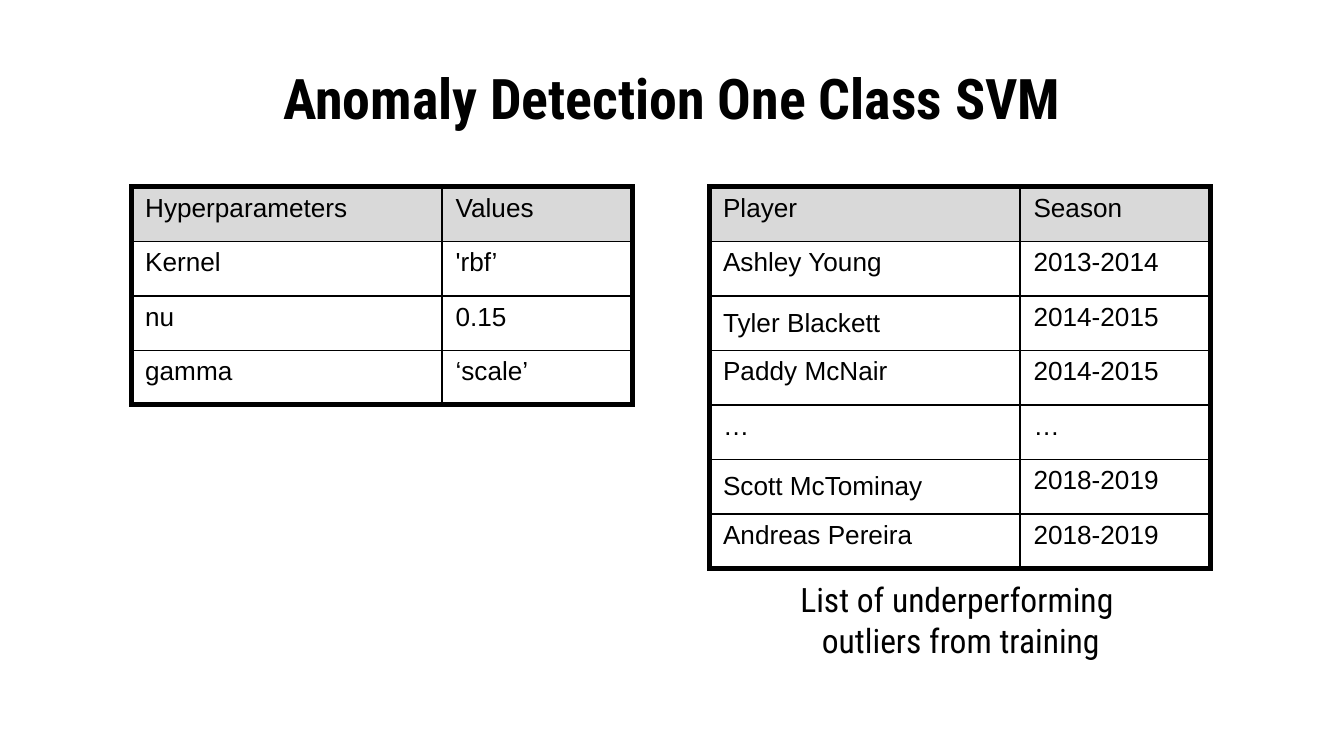
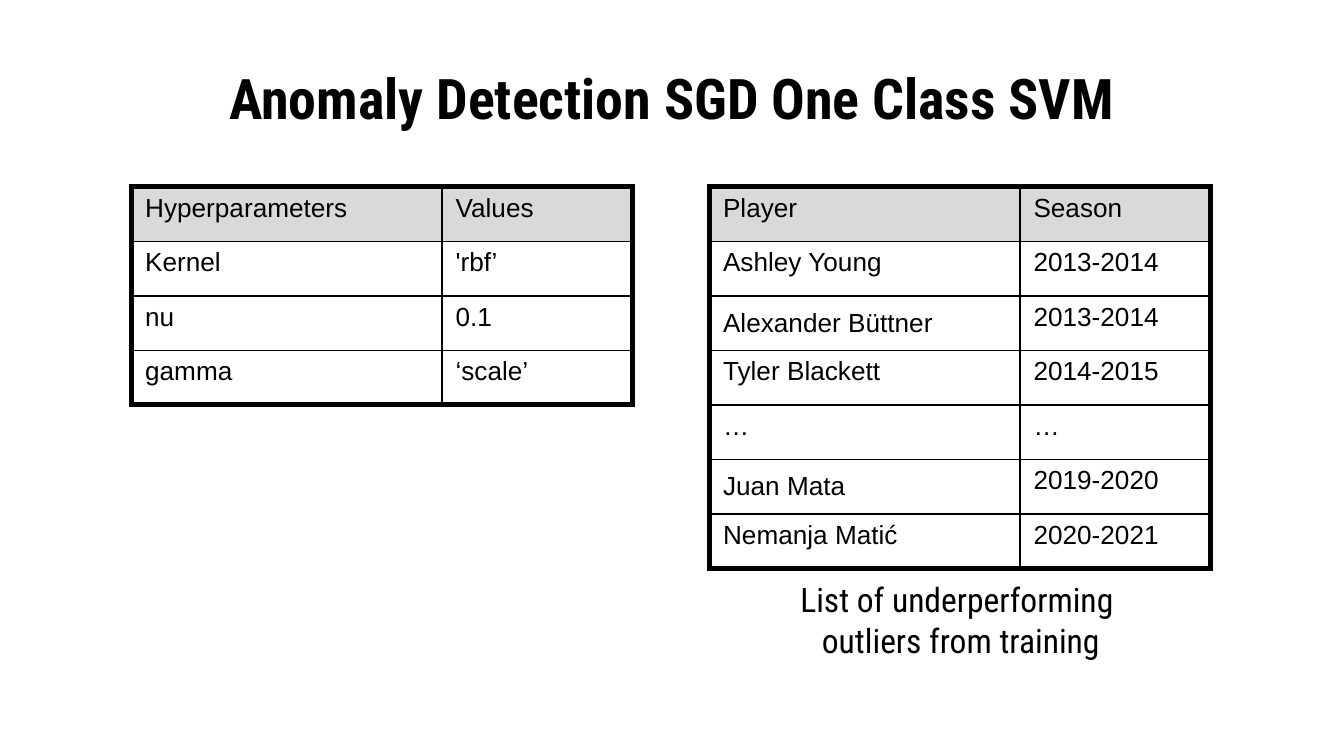
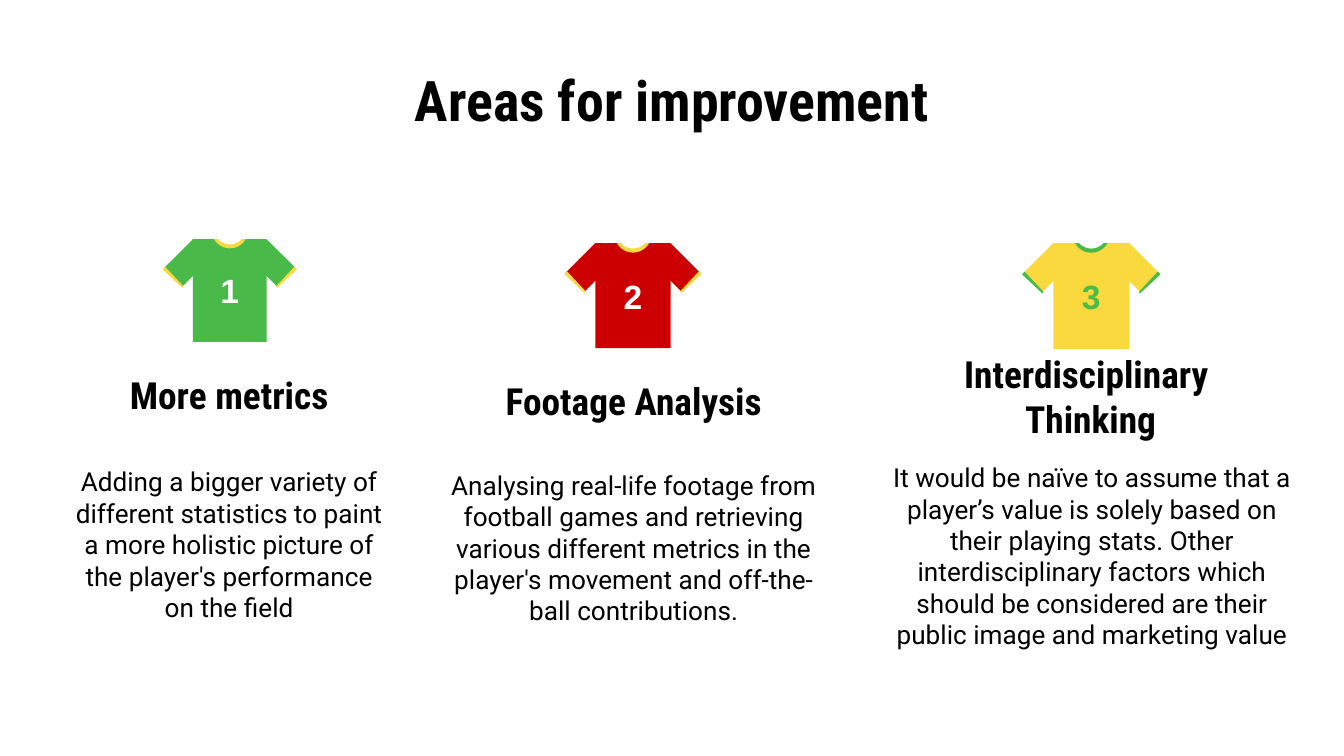
import math
from lxml import etree
from pptx import Presentation
from pptx import util as u
from pptx.dml.color import RGBColor
from pptx.enum import text
from pptx.oxml.ns import qn

# Shared style
BLACK, WHITE, GREY = "000000", "FFFFFF", "D9D9D9"
GREEN, RED, GOLD = "49BA49", "CC0000", "F9D93D"
HEAD, BODY, PLAIN = "Roboto Condensed", "Roboto", "Arial"
MID, TOP = text.MSO_ANCHOR.MIDDLE, text.MSO_ANCHOR.TOP
COLS, ROW = (2.31, 1.42), 2.84 / 7

# Content: title, value of nu, outliers
MODELS = [
    ("Anomaly Detection One Class SVM", "0.15", [
        ("Ashley Young", "2013-2014"), ("Tyler Blackett", "2014-2015"),
        ("Paddy McNair", "2014-2015"), ("…", "…"),
        ("Scott McTominay", "2018-2019"), ("Andreas Pereira", "2018-2019")]),
    ("Anomaly Detection SGD One Class SVM", "0.1", [
        ("Ashley Young", "2013-2014"), ("Alexander Büttner", "2013-2014"),
        ("Tyler Blackett", "2014-2015"), ("…", "…"),
        ("Juan Mata", "2019-2020"), ("Nemanja Matić", "2020-2021")]),
]
CAPTION = ["List of underperforming ", "outliers from training"]

# Shirt: centre, top, scale, cloth, trim, number colour;
# then heading and body with their boxes, and body top and bottom insets
AREAS = [
    dict(shirt=(1.71, 1.78, 0.98, GREEN, GOLD, WHITE),
         head=["More metrics"], hbox=(0.33, 2.69, 2.75, 0.49),
         body="Adding a bigger variety of different statistics to paint a more "
              "holistic picture of the player's performance on the field",
         bbox=(0.44, 3.53, 2.53, 1.31), pad=(0.1, 0.37)),
    dict(shirt=(4.71, 1.81, 1, RED, GOLD, WHITE),
         head=["Footage Analysis"], hbox=(3.19, 2.73, 3.05, 0.5),
         body="Analysing real-life footage from football games and retrieving "
              "various different metrics in the player's movement and "
              "off-the-ball contributions.",
         bbox=(3.19, 3.76, 3.05, 0.89), pad=(0.1, 0.36)),
    dict(shirt=(8.12, 1.81, 1.01, GOLD, GREEN, "48BB49"),
         head=["Interdisciplinary ", "Thinking"], hbox=(6.59, 2.7, 3.05, 0.49),
         body="It would be naïve to assume that a player’s value is solely based "
              "on their playing stats. Other interdisciplinary factors which "
              "should be considered are their public image and marketing value",
         bbox=(6.45, 3.07, 3.35, 1.86), pad=(0.37, 0.1)),
]


def rgb(code):
    return RGBColor.from_string(code)


def style(par, size, face, color=BLACK, bold=False):
    font = par.font
    font.size, font.name, font.bold = u.Pt(size), face, bold
    font.color.rgb = rgb(color)


def write(shape, lines, size, face, color=BLACK, bold=False,
          anchor=MID, pad=(0.1, 0.1), space=None):
    frame = shape.text_frame
    frame.word_wrap = True
    frame.vertical_anchor = anchor
    frame.margin_left = frame.margin_right = u.Inches(0.1)
    frame.margin_top, frame.margin_bottom = map(u.Inches, pad)
    for i, line in enumerate(lines):
        par = frame.add_paragraph() if i else frame.paragraphs[0]
        par.text = line
        par.alignment = text.PP_ALIGN.CENTER
        if space:
            par.line_spacing = space
        style(par, size, face, color, bold)


def label(shapes, box, lines, size, face, **more):
    write(shapes.add_textbox(*map(u.Inches, box)), lines, size, face, **more)


def title(slide, words, top, space=None):
    label(slide.shapes, (0.78, top, 8.44, 0.45), [words], 30, HEAD,
          bold=True, anchor=TOP, space=space)


# Tables: thick outside, thin inside
def edges(cell, thick):
    props = cell._tc.get_or_add_tcPr()
    for i, side in enumerate("LRTB"):
        width = u.Pt(3 if side in thick else 1)
        line = etree.Element(qn("a:ln" + side), w=str(width))
        fill = etree.SubElement(line, qn("a:solidFill"))
        etree.SubElement(fill, qn("a:srgbClr"), val=BLACK)
        props.insert(i, line)


def grid(slide, left, rows, middle=()):
    last = len(rows) - 1
    table = slide.shapes.add_table(
        len(rows), len(COLS), u.Inches(left), u.Inches(1.39),
        u.Inches(sum(COLS)), u.Inches(ROW * len(rows))).table
    table.first_row = table.horz_banding = False
    for col, width in zip(table.columns, COLS):
        col.width = u.Inches(width)
    for r, row in enumerate(rows):
        table.rows[r].height = u.Inches(ROW)
        for c, words in enumerate(row):
            cell = table.cell(r, c)
            cell.text = words
            style(cell.text_frame.paragraphs[0], 14, PLAIN)
            if r == 0:
                cell.fill.solid()
                cell.fill.fore_color.rgb = rgb(GREY)
            else:
                cell.fill.background()
            if c == 0 and r in middle:
                cell.vertical_anchor = MID
            edges(cell, "LR"[c] + ("T" if r == 0 else "B" if r == last else ""))


# Shirts, drawn about the middle of the collar
def arc(half, deep, steps=12):
    rad = (half ** 2 + deep ** 2) / (2 * deep)
    turn = math.asin(half / rad)
    angles = [turn * (2 * i / steps - 1) for i in range(steps + 1)]
    return [(rad * math.sin(a), deep - rad + rad * math.cos(a)) for a in angles]


SLEEVE = [(0.28, 0), (0.14, 0.14), (0.36, 0.36), (0.5, 0.22)]
CUFF = [(0.49, 0.21), (0.35, 0.36), (0.36, 0.37), (0.51, 0.23)]
TORSO = [(0.28, 0), (0.28, 0.78), (-0.28, 0.78), (-0.28, 0)] + arc(0.1, 0.06)
COLLAR = arc(0.12, 0.07) + arc(0.09, 0.04)[::-1]


def shirt(shapes, number, mid, top, scale, cloth, trim, ink):
    def piece(points, color, flip=1):
        spots = [(u.Inches(mid + flip * scale * x), u.Inches(top + scale * y))
                 for x, y in points]
        pen = shapes.build_freeform(*spots[0])
        pen.add_line_segments(spots[1:], close=True)
        part = pen.convert_to_shape()
        part.shadow.inherit = False
        part.fill.solid()
        part.fill.fore_color.rgb = rgb(color)
        part.line.fill.background()
        return part

    for flip in (1, -1):
        piece(SLEEVE, cloth, flip)
        piece(CUFF, trim, flip)
    write(piece(TORSO, cloth), [str(number)], 18, PLAIN, ink, bold=True)
    piece(COLLAR, trim)


def main():
    deck = Presentation()
    deck.slide_width = u.Inches(10)
    deck.slide_height = deck.slide_width * 9 // 16
    blank = deck.slide_layouts[6]

    # Model slides
    for name, nu, players in MODELS:
        slide = deck.slides.add_slide(blank)
        title(slide, name, 0.59, space=0.5)
        grid(slide, 0.98, [("Hyperparameters", "Values"), ("Kernel", "'rbf’"),
                           ("nu", nu), ("gamma", "‘scale’")])
        grid(slide, 5.28, [("Player", "Season")] + players, middle=(2, 5))
        label(slide.shapes, (4.92, 4.21, 4.46, 0.45), CAPTION, 18, HEAD,
              anchor=TOP)

    # Improvement slide
    slide = deck.slides.add_slide(blank)
    title(slide, "Areas for improvement", 0.39)
    for number, area in enumerate(AREAS, 1):
        shapes = slide.shapes.add_group_shape().shapes
        shirt(shapes, number, *area["shirt"])
        label(shapes, area["hbox"], area["head"], 20, HEAD, bold=True)
        label(shapes, area["bbox"], [area["body"]], 14, BODY, pad=area["pad"])

    deck.save("out.pptx")


if __name__ == "__main__":
    main()
